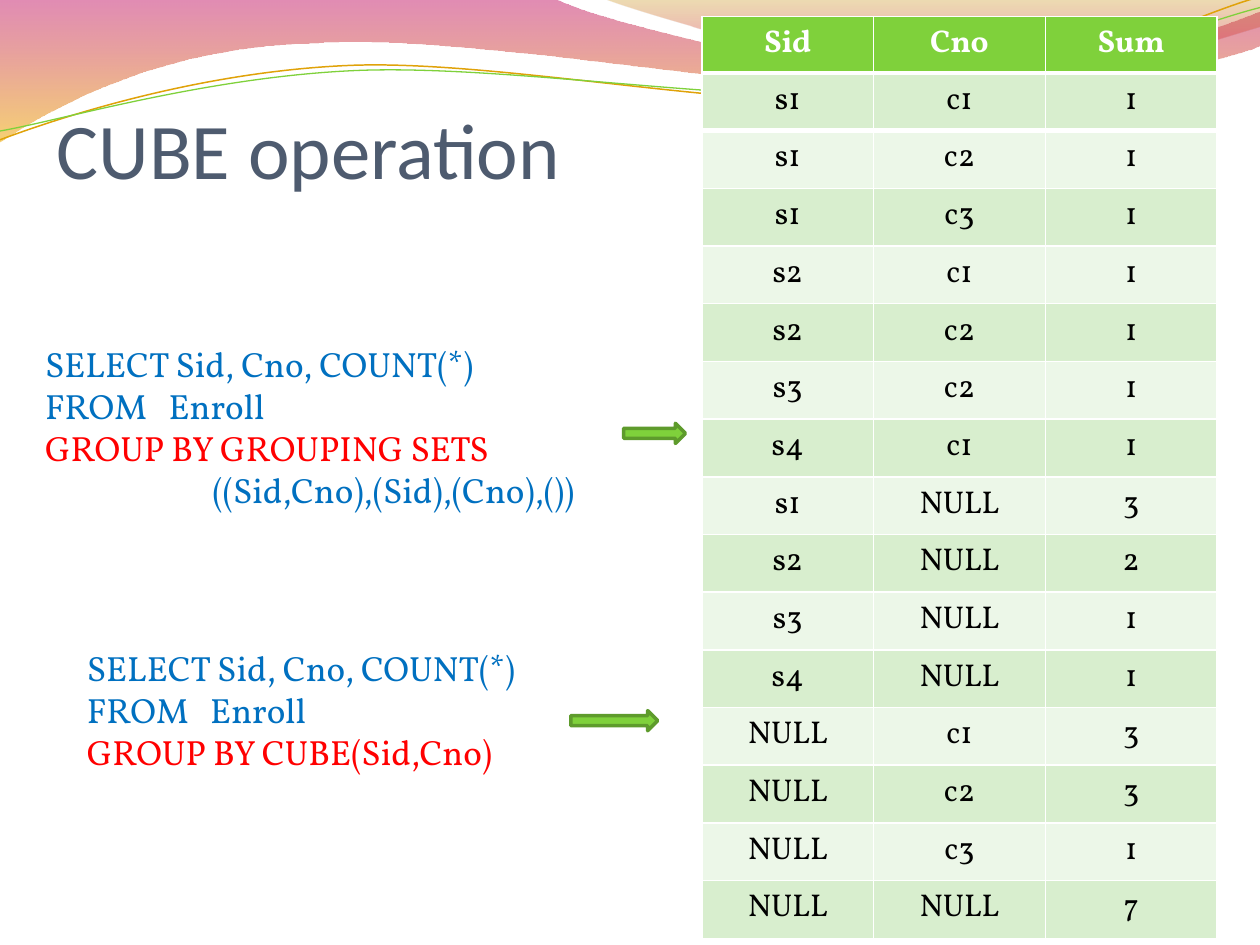
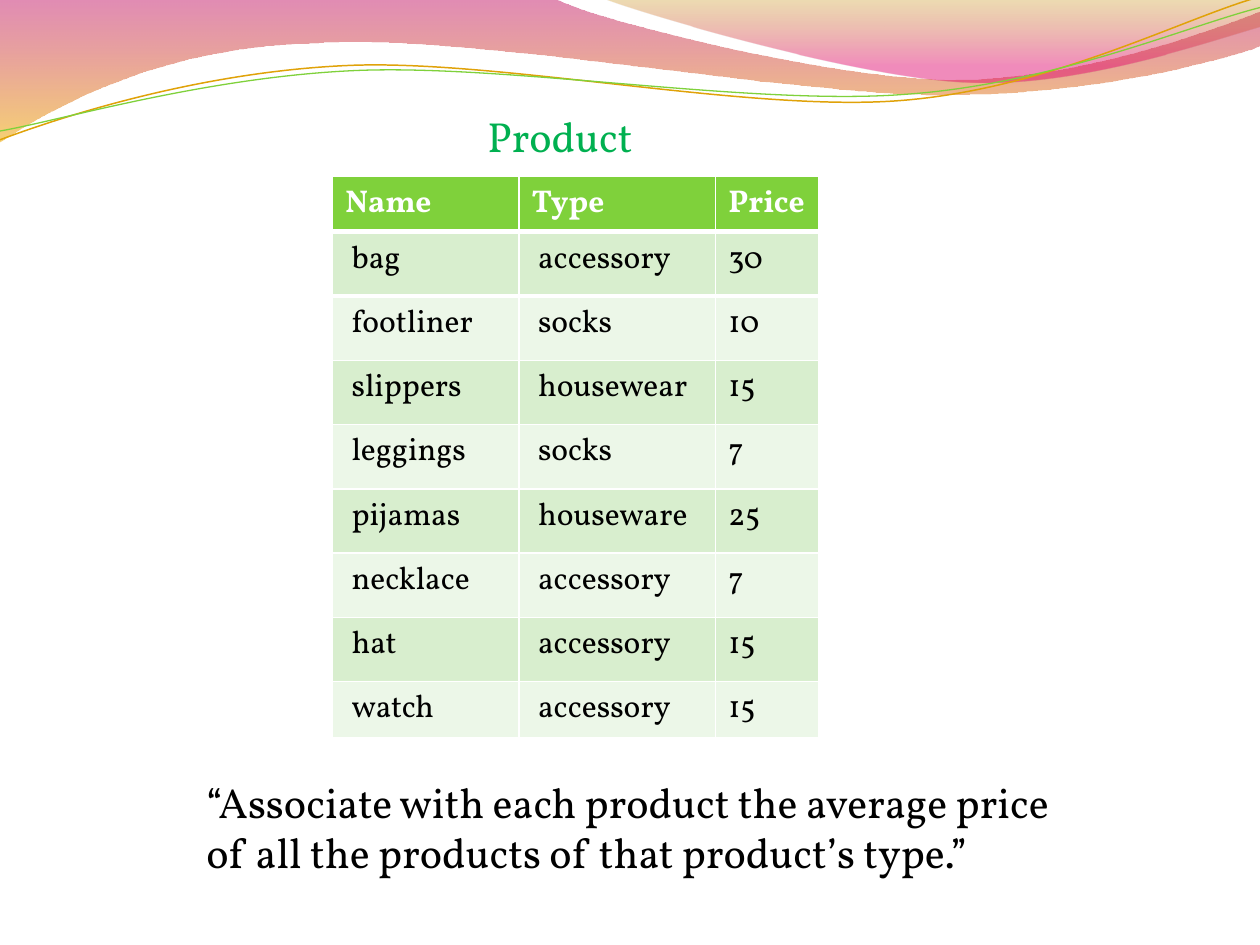
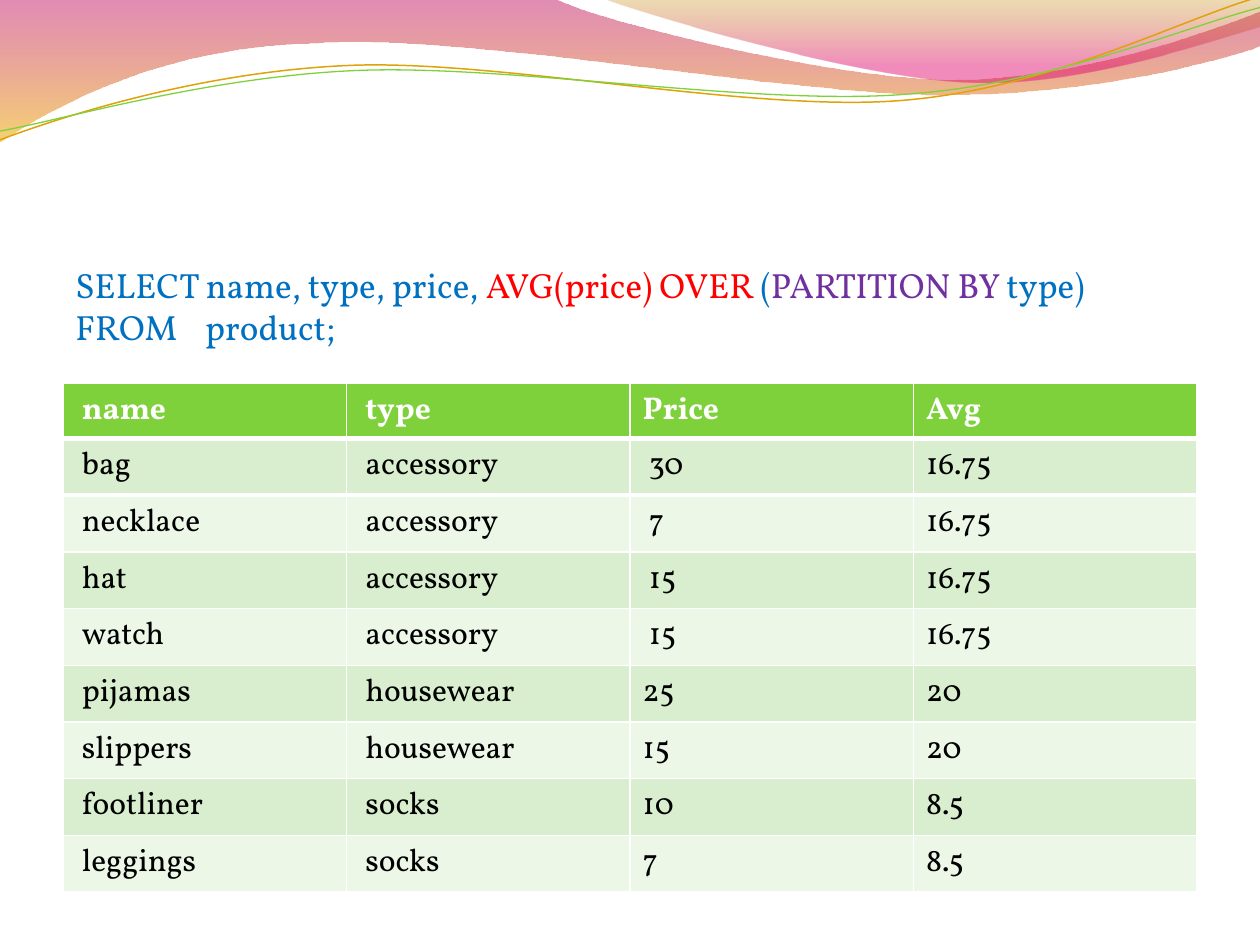
from lxml import etree
from pptx import Presentation
from pptx import util as u
from pptx.dml.color import RGBColor
from pptx.enum import shapes, text
from pptx.oxml.ns import qn

# The slide is a grid of 10 columns by 7.5 rows, one inch each.
COLUMNS, ROWS, UNIT = 10, 7.5, u.Inches(1)

WHITE = RGBColor(0xFF, 0xFF, 0xFF)
BLACK = RGBColor(0, 0, 0)
SLATE = RGBColor(0x4E, 0x5B, 0x6F)
GREEN = RGBColor(0x7F, 0xD1, 0x3B)
DARK_GREEN = RGBColor(0x5E, 0x9B, 0x2C)
EMERALD = RGBColor(0x00, 0xB0, 0x50)
BANDS = (RGBColor(0xEC, 0xF7, 0xE8), RGBColor(0xD8, 0xEE, 0xCE))
BLUE = RGBColor(0x00, 0x70, 0xC0)
RED = RGBColor(0xFF, 0, 0)
PURPLE = RGBColor(0x70, 0x30, 0xA0)
GOLD = RGBColor(0xE0, 0xA2, 0x09)
CRIMSON = RGBColor(0xBD, 0x00, 0x59)
AMBER = RGBColor(0xF0, 0xAB, 0x00)
OCHRE = RGBColor(0xC3, 0x8B, 0x00)
PINK = RGBColor(0xE1, 0x00, 0x6B)
BODY_FONT, TITLE_FONT = "Vollkorn", "Calibri"
CELL_SIZE, CODE_SIZE, TEXT_SIZE, TITLE_SIZE = 18, 20, 24, 45
CELL_MARGIN, CELL_INDENT = 0.1, 0.05

# Waves: start point, then pieces of one point (line) or three (curve).
# Gradient stops are (position, colour, opacity in percent).
WAVES = [
    {"start": (0, 0),
     "pieces": [[(4.4, -0.01)],
                [(4.76, 0.17), (6.64, 0.63), (7.58, 0.63)],
                [(8.53, 0.63), (9.58, 0.26), (10, 0.09)],
                [(10.01, 0.36)],
                [(9.83, 0.44), (8.7, 0.76), (7.46, 0.75)],
                [(6.22, 0.75), (3.82, 0.28), (2.57, 0.34)],
                [(1.29, 0.36), (0.46, 0.83), (-0.01, 1.13)],
                [(0, 0)]],
     "stops": [(0, CRIMSON, 45), (1, AMBER, 55)]},
    {"start": (4.79, -0.01),
     "pieces": [[(5.09, 0.11), (6.82, 0.62), (7.69, 0.65)],
                [(8.56, 0.69), (9.61, 0.32), (10, 0.21)],
                [(10, 0)],
                [(4.79, -0.01)]],
     "stops": [(0, OCHRE, 30), (0.8, PINK, 45)]},
    {"start": (0, 1.11),
     "pieces": [[(0.48, 0.93), (1.58, 0.57), (2.77, 0.52)],
                [(3.95, 0.47), (5.93, 0.89), (7.13, 0.8)],
                [(8.33, 0.71), (9.38, 0.15), (9.98, -0.02)]],
     "line": (GOLD, 0.85)},
    {"start": (0, 1.04),
     "pieces": [[(0.47, 0.96), (1.64, 0.61), (2.83, 0.56)],
                [(4.03, 0.51), (5.97, 0.84), (7.17, 0.75)],
                [(8.36, 0.67), (9.41, 0.21), (10, 0.06)]],
     "line": (GREEN, 0.75)},
]

CUBE_TITLE = "CUBE operation"
CUBE_ROWS = [
    ("Sid", "Cno", "Sum"),
    ("s1", "c1", "1"), ("s1", "c2", "1"), ("s1", "c3", "1"),
    ("s2", "c1", "1"), ("s2", "c2", "1"), ("s3", "c2", "1"),
    ("s4", "c1", "1"),
    ("s1", "NULL", "3"), ("s2", "NULL", "2"), ("s3", "NULL", "1"),
    ("s4", "NULL", "1"),
    ("NULL", "c1", "3"), ("NULL", "c2", "3"), ("NULL", "c3", "1"),
    ("NULL", "NULL", "7"),
]
PRODUCT_ROWS = [
    ("Name", "Type", "Price"),
    ("bag", "accessory", "30"), ("footliner", "socks", "10"),
    ("slippers", "housewear", "15"), ("leggings", "socks", "7"),
    ("pijamas", "houseware", "25"), ("necklace", "accessory", "7"),
    ("hat", "accessory", "15"), ("watch", "accessory", "15"),
]
AVERAGE_ROWS = [
    ("name", "type", "Price", "Avg"),
    ("bag", "accessory", "30", "16.75"),
    ("necklace", "accessory", "7", "16.75"),
    ("hat", "accessory", "15", "16.75"),
    ("watch", "accessory", "15", "16.75"),
    ("pijamas", "housewear", "25", "20"),
    ("slippers", "housewear", "15", "20"),
    ("footliner", "socks", "10", "8.5"),
    ("leggings", "socks", "7", "8.5"),
]

# Each paragraph is a list of (words, colour) spans.
SELECT_COUNT = [[("SELECT Sid, Cno, COUNT(*)", BLUE)],
                [("FROM\tEnroll", BLUE)]]
GROUPING_QUERY = SELECT_COUNT + [[("GROUP BY GROUPING SETS", RED)],
                                 [("((Sid,Cno),(Sid),(Cno),())", BLUE)]]
CUBE_QUERY = SELECT_COUNT + [[("GROUP BY CUBE(Sid,Cno)", RED)]]
AVERAGE_QUERY = [
    [("SELECT name, type, price, ", BLUE), ("AVG(price) OVER ", RED),
     ("(", BLUE), ("PARTITION BY ", PURPLE), ("type)", BLUE)],
    [("FROM\tproduct;", BLUE)],
]
PRODUCT_LABEL = [[("Product", EMERALD)]]
PRODUCT_TASK = [[("“Associate with each product the average price of all "
                  "the products of that product’s type.”", BLACK)]]


def grid(*lengths):
    """Turn grid units into lengths on the slide."""
    return [u.Emu(round(length * UNIT)) for length in lengths]


def style(font, size, colour, name=BODY_FONT, bold=False):
    """Set the look of a font."""
    font.name, font.size, font.bold = name, u.Pt(size), bold
    font.color.rgb = colour


def bend(shape, pieces):
    """Turn the straight pieces that have control points into curves."""
    for line, piece in zip(list(shape.element.iter(qn("a:lnTo"))), pieces):
        if len(piece) == 1:
            continue
        curve = etree.Element(qn("a:cubicBezTo"))
        for point in piece:
            x, y = grid(*point)
            etree.SubElement(curve, qn("a:pt"), x=str(x - shape.left),
                             y=str(y - shape.top))
        line.getparent().replace(line, curve)


def add_wave(page, wave):
    """Draw one wave as a gradient area or as an open line."""
    builder = page.shapes.build_freeform(*grid(*wave["start"]), scale=1.0)
    builder.add_line_segments([grid(*piece[-1]) for piece in wave["pieces"]],
                              close="stops" in wave)
    shape = builder.convert_to_shape()
    bend(shape, wave["pieces"])
    shape.shadow.inherit = False
    if "line" in wave:
        colour, width = wave["line"]
        shape.fill.background()
        shape.line.color.rgb, shape.line.width = colour, u.Pt(width)
        return shape
    shape.line.fill.background()
    shape.fill.gradient()
    shape.fill.gradient_angle = 270
    for stop, (position, colour, _) in zip(shape.fill.gradient_stops,
                                           wave["stops"]):
        stop.position, stop.color.rgb = position, colour
    for colour, (_, _, opacity) in zip(shape.element.iter(qn("a:srgbClr")),
                                       wave["stops"]):
        etree.SubElement(colour, qn("a:alpha"), val=str(opacity * 1000))
    return shape


def decorate_master(deck, page):
    """Draw the waves on a page, then move them to the shared master."""
    tree = deck.slide_master.shapes.element
    for index, wave in enumerate(WAVES):
        element = add_wave(page, wave).element
        element.nvSpPr.cNvPr.set("id", str(100 + index))
        tree.insert(2 + index, element)


def add_title(page, words):
    """Fill and place the title placeholder."""
    title = page.shapes.title
    title.left, title.top, title.width, title.height = grid(
        0.45, 0.29, 9, 1.26)
    frame = title.text_frame
    frame.text = words
    frame.auto_size = text.MSO_AUTO_SIZE.NONE
    frame.vertical_anchor = text.MSO_ANCHOR.BOTTOM
    frame.margin_left = frame.margin_right = frame.margin_bottom = 0
    paragraph = frame.paragraphs[0]
    paragraph.alignment = text.PP_ALIGN.LEFT
    style(paragraph.font, TITLE_SIZE, SLATE, TITLE_FONT)


def add_text(page, place, paragraphs, size, tab=None):
    """Add a text box of coloured spans, with an optional tab stop."""
    box = page.shapes.add_textbox(*grid(*place))
    frame = box.text_frame
    frame.word_wrap = True
    for index, spans in enumerate(paragraphs):
        para = frame.add_paragraph() if index else frame.paragraphs[0]
        style(para.font, size, spans[0][1])
        for words, colour in spans:
            span = para.add_run()
            span.text = words
            if colour != spans[0][1]:
                span.font.color.rgb = colour
        if tab and "\t" in spans[0][0]:
            stops = etree.Element(qn("a:tabLst"))
            etree.SubElement(stops, qn("a:tab"), algn="l",
                             pos=str(grid(tab)[0]))
            para._p.get_or_add_pPr().insert(0, stops)
    return box


def add_border(cell, side, width):
    """Draw a white border on one side of a cell."""
    border = etree.Element(qn(f"a:{side}"), w=str(u.Pt(width)))
    fill = etree.SubElement(border, qn("a:solidFill"))
    etree.SubElement(fill, qn("a:srgbClr"), val=str(WHITE))
    cell._tc.get_or_add_tcPr().insert(0, border)


def add_table(page, corner, widths, heights, rows, indents=None,
              align=text.PP_ALIGN.LEFT):
    """Add a banded table; indents maps a column to its indented rows."""
    indents = indents or {}
    frame = page.shapes.add_table(
        len(rows), len(widths), *grid(*corner, sum(widths), sum(heights)))
    table = frame.table
    for column, width in zip(table.columns, grid(*widths)):
        column.width = width
    for row, height in zip(table.rows, grid(*heights)):
        row.height = height
    for r, row in enumerate(rows):
        for c, words in enumerate(row):
            cell = table.cell(r, c)
            cell.text = words
            cell.fill.solid()
            cell.fill.fore_color.rgb = BANDS[r % 2] if r else GREEN
            if r < 2:
                add_border(cell, "lnT" if r else "lnB", 3)
            if r in indents.get(c, ()):
                cell.margin_left = grid(CELL_MARGIN + CELL_INDENT)[0]
            para = cell.text_frame.paragraphs[0]
            para.alignment = align
            style(para.font, CELL_SIZE, BLACK if r else WHITE, bold=not r)


def add_arrow(page, place):
    """Add a green block arrow pointing right."""
    arrow = page.shapes.add_shape(shapes.MSO_SHAPE.RIGHT_ARROW, *grid(*place))
    arrow.shadow.inherit = False
    arrow.fill.solid()
    arrow.fill.fore_color.rgb = GREEN
    arrow.line.color.rgb, arrow.line.width = DARK_GREEN, u.Pt(2)


def cube_slide(page):
    """Two equal queries pointing at their common result."""
    add_title(page, CUBE_TITLE)
    heights = [0.44] + [(7.31 - 0.44) / 15] * 15
    add_table(page, (5.57, 0.13), [4.09 / 3] * 3, heights,
              CUBE_ROWS, align=text.PP_ALIGN.CENTER)
    add_text(page, (0.59, 5.08, 3.71, 1.11), CUBE_QUERY, CODE_SIZE, 0.98)
    add_arrow(page, (4.95, 3.36, 0.49, 0.16))
    box = add_text(page, (0.26, 2.67, 4.96, 1.45), GROUPING_QUERY,
                   CODE_SIZE, 0.98)
    sets = box.text_frame.paragraphs[-1]
    sets._p.get_or_add_pPr().set("marL", str(grid(1.33)[0]))
    add_arrow(page, (4.53, 5.64, 0.69, 0.16))


def product_slide(page):
    """The product table with its label and the task below."""
    body = range(1, len(PRODUCT_ROWS))
    add_table(page, (2.64, 1.4), [1.48, 1.56, 0.82],
              [0.44] + [0.51] * 7 + [0.45], PRODUCT_ROWS,
              {0: body, 1: body})
    add_text(page, (1.54, 6.11, 6.93, 0.91), PRODUCT_TASK, TEXT_SIZE)
    add_text(page, (3.77, 0.83, 1.6, 0.5), PRODUCT_LABEL, TEXT_SIZE)


def average_slide(page):
    """The window query above its result."""
    every = range(len(AVERAGE_ROWS))
    add_table(page, (0.5, 3.04), [9 / 4] * 4, [0.44] + [0.45] * 8,
              AVERAGE_ROWS, {0: every, 1: every, 2: range(1, 5)})
    add_text(page, (0.5, 2.04, 8.35, 0.77), AVERAGE_QUERY, CODE_SIZE, 1.03)


def main():
    """Build the deck and save it."""
    deck = Presentation()
    deck.slide_width, deck.slide_height = grid(COLUMNS, ROWS)
    title_only, blank = deck.slide_layouts[5], deck.slide_layouts[6]
    plan = [(title_only, cube_slide), (blank, product_slide),
            (blank, average_slide)]
    for index, (layout, fill_page) in enumerate(plan):
        page = deck.slides.add_slide(layout)
        if index == 0:
            decorate_master(deck, page)
        fill_page(page)
    deck.save("out.pptx")


main()
